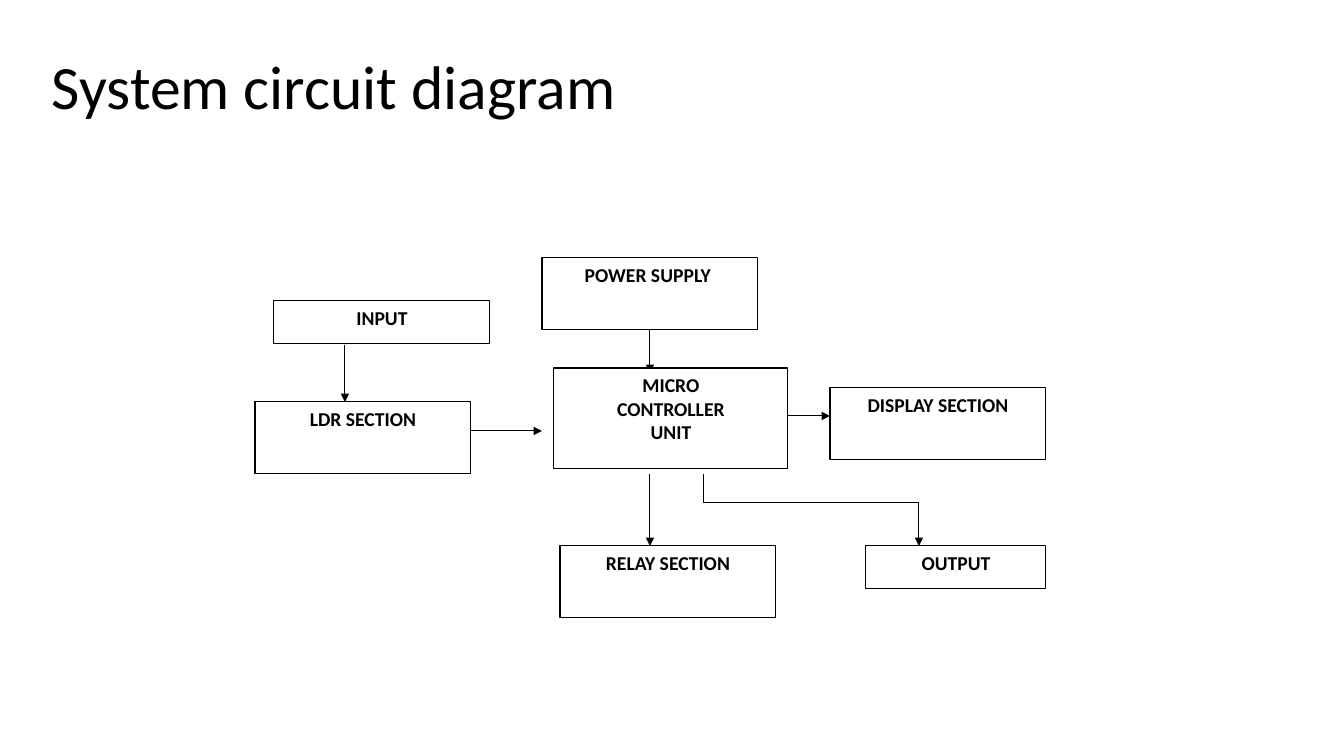
from pptx import Presentation
from pptx.dml.color import RGBColor
from pptx.enum.shapes import MSO_CONNECTOR, MSO_SHAPE
from pptx.enum.text import MSO_ANCHOR, PP_ALIGN
from pptx.oxml.ns import qn
from pptx.util import Emu, Pt
from lxml.etree import SubElement

BLACK = RGBColor(0, 0, 0)
WHITE = RGBColor(255, 255, 255)
SCALE = 914400 / 100.8
FONT = "Calibri"
WIDE, TALL, LOW = 216, 72, 43

TITLE = ("System circuit diagram", 42, 17, 1159, 146)
PARTS = [
    ("POWER SUPPLY ", 542, 258, WIDE, TALL),
    ("DISPLAY SECTION", 830, 388, WIDE, TALL),
    ("INPUT", 274, 301, WIDE, LOW),
    ("LDR SECTION", 255, 402, WIDE, TALL),
    ("RELAY SECTION", 560, 546, WIDE, TALL),
    ("OUTPUT", 866, 546, 180, LOW),
]
CORE = ("MICRO\nCONTROLLER\nUNIT", 554, 368, 234, 101)
WIRES = [
    [(650, 330), (650, 373)],
    [(776, 416), (830, 416)],
    [(471, 431), (542, 431)],
    [(650, 474), (650, 546)],
    [(704, 474), (704, 503), (919, 503), (919, 546)],
    [(345, 345), (345, 402)],
]


def px(*vals):
    return [Emu(round(v * SCALE)) for v in vals]


def write(shape, text, size=14, bold=True, align=PP_ALIGN.CENTER,
          anchor=MSO_ANCHOR.TOP, space=1.0):
    frame = shape.text_frame
    frame.word_wrap = True
    frame.vertical_anchor = anchor
    frame.text = text
    for para in frame.paragraphs:
        para.alignment = align
        para.line_spacing = space
        font = para.runs[0].font
        font.name, font.size, font.bold = FONT, Pt(size), bold
        font.color.rgb = BLACK


def box(text, *rect):
    shape = slide.shapes.add_shape(MSO_SHAPE.RECTANGLE, *px(*rect))
    shape.shadow.inherit = False
    shape.fill.solid()
    shape.fill.fore_color.rgb = WHITE
    shape.line.color.rgb = BLACK
    shape.line.width = Pt(0.75)
    write(shape, text)


def wire(points):
    for start, end in zip(points, points[1:]):
        link = slide.shapes.add_connector(
            MSO_CONNECTOR.STRAIGHT, *px(*start, *end))
        link.line.color.rgb = BLACK
        link.line.width = Pt(0.75)
        props = link.line._get_or_add_ln()
        if end == points[-1]:
            SubElement(props, qn("a:tailEnd"), type="triangle")
        SubElement(props.getparent(), qn("a:effectLst"))


deck = Presentation()
deck.slide_width, deck.slide_height = px(1344, 756)
slide = deck.slides.add_slide(deck.slide_layouts[6])

title, *rect = TITLE
write(slide.shapes.add_textbox(*px(*rect)), title, size=44, bold=False,
      align=PP_ALIGN.LEFT, anchor=MSO_ANCHOR.MIDDLE, space=0.9)
for part in PARTS:
    box(*part)
for points in WIRES:
    wire(points)
box(*CORE)

deck.save("out.pptx")
